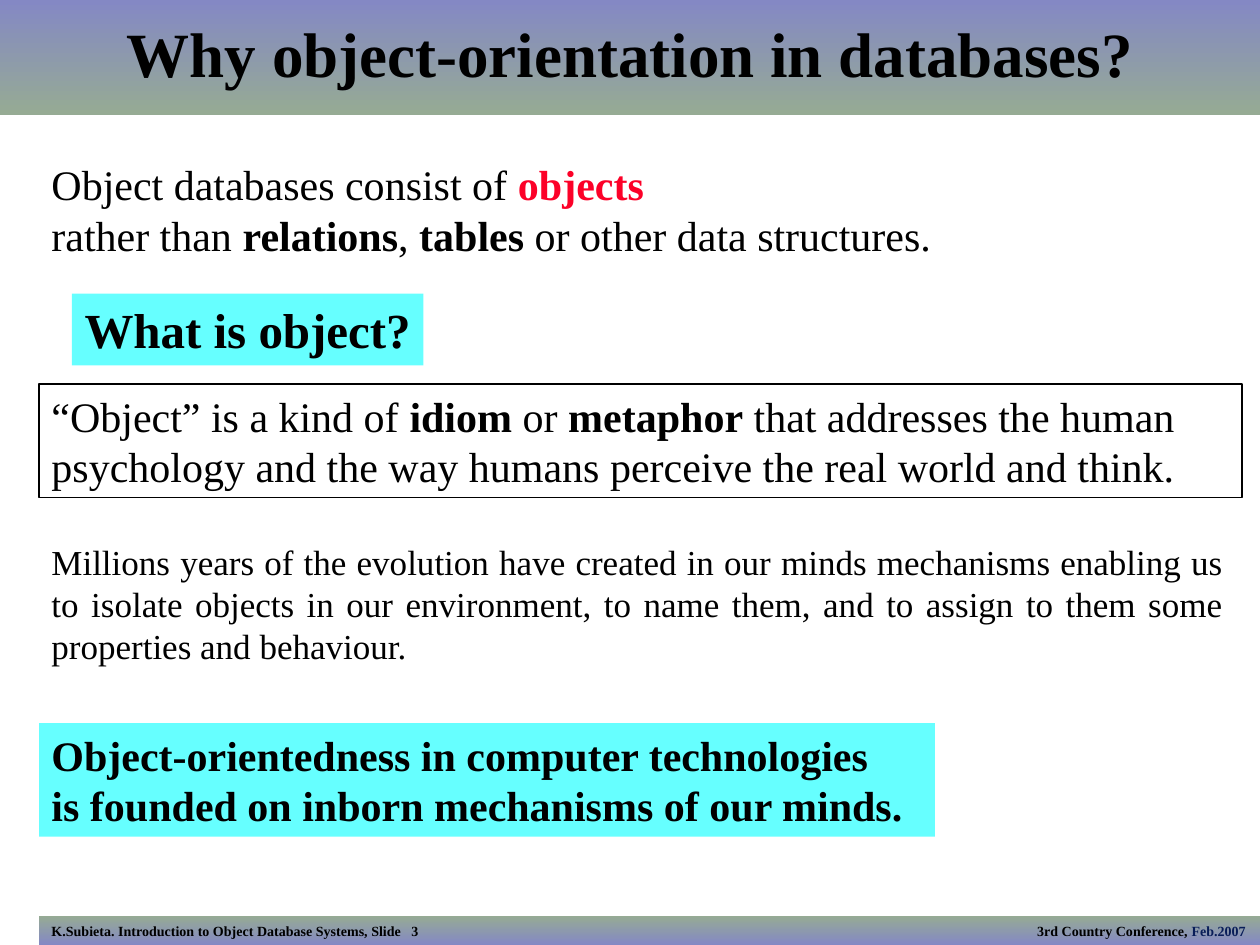
from pptx import Presentation
from pptx.dml.color import RGBColor
from pptx.enum.shapes import MSO_SHAPE
from pptx.enum.text import MSO_ANCHOR, MSO_AUTO_SIZE, PP_ALIGN
from pptx.util import Inches, Pt

BLACK = RGBColor(0x00, 0x00, 0x00)
RED = RGBColor(0xFC, 0x01, 0x28)
NAVY = RGBColor(0x08, 0x1D, 0x58)
CYAN = RGBColor(0x66, 0xFF, 0xFF)
VIOLET = RGBColor(0x84, 0x88, 0xC4)
SAGE = RGBColor(0x96, 0xAB, 0x94)

FONT = "Times New Roman"
LEFT = 0.31  # shared left edge of bars and text blocks


class SlideBuilder:
    """Holds the text style and the current slide."""

    def __init__(self, slide):
        self.slide = slide

    def gradient(self, shape, top, bottom):
        fill = shape.fill
        fill.gradient()
        fill.gradient_angle = 270
        for stop, color in zip(fill.gradient_stops, (top, bottom)):
            stop.color.rgb = color

    def set_text(self, shape, lines, size, align=PP_ALIGN.LEFT, bold=False,
                 wrap=True, anchor=MSO_ANCHOR.TOP):
        """Each line is a list of (text, bold, color) runs or a plain string."""
        tf = shape.text_frame
        tf.auto_size = MSO_AUTO_SIZE.NONE
        tf.word_wrap = wrap
        tf.vertical_anchor = anchor
        for i, line in enumerate(lines):
            p = tf.add_paragraph() if i else tf.paragraphs[0]
            p.alignment = align
            runs = [(line, bold, BLACK)] if isinstance(line, str) else line
            for text, run_bold, color in runs:
                r = p.add_run()
                r.text = text
                r.font.name = FONT
                r.font.size = Pt(size)
                r.font.bold = run_bold
                r.font.color.rgb = color

    def title(self, text, height):
        s = self.slide.shapes.title
        s.left, s.top = Inches(0), Inches(0)
        s.width, s.height = Inches(10), Inches(height)
        self.gradient(s, VIOLET, SAGE)
        self.set_text(s, [text], 36, PP_ALIGN.CENTER, True, anchor=MSO_ANCHOR.MIDDLE)
        s.text_frame.paragraphs[0].line_spacing = 0.9

    def text(self, x, y, w, h, lines, size, **style):
        s = self.slide.shapes.add_textbox(Inches(x), Inches(y), Inches(w), Inches(h))
        self.set_text(s, lines, size, **style)

    def box(self, x, y, w, h, lines, size, fill=None, line=None, **style):
        s = self.slide.shapes.add_shape(
            MSO_SHAPE.RECTANGLE, Inches(x), Inches(y), Inches(w), Inches(h))
        s.shadow.inherit = False
        if fill is None:
            s.fill.background()
        else:
            s.fill.solid()
            s.fill.fore_color.rgb = fill
        if line is None:
            s.line.fill.background()
        else:
            s.line.color.rgb = line
            s.line.width = Pt(1)
        self.set_text(s, lines, size, **style)
        return s


def main():
    prs = Presentation()
    prs.slide_width, prs.slide_height = Inches(10), Inches(7.5)
    b = SlideBuilder(prs.slides.add_slide(prs.slide_layouts[5]))

    # Footer bar
    footer = b.box(LEFT, 7.27, 9.69, 0.23,
                   ["K.Subieta. Introduction to Object Database Systems, Slide   3"],
                   8, bold=True)
    b.gradient(footer, SAGE, VIOLET)
    b.text(8.13, 7.27, 1.86, 0.23,
           [[("3rd Country Conference, ", True, BLACK), ("Feb.2007", True, NAVY)]],
           8, align=PP_ALIGN.CENTER, wrap=False)

    # Title
    b.title("Why object-orientation in databases?", 0.91)

    # Introduction
    b.text(LEFT, 1.21, 9.38, 0.9, [
        [("Object databases consist of ", False, BLACK), ("objects", True, RED)],
        [("rather than ", False, BLACK), ("relations", True, BLACK),
         (", ", False, BLACK), ("tables", True, BLACK),
         (" or other data structures.", False, BLACK)],
    ], 24)

    # Question and definition
    b.box(0.57, 2.33, 2.79, 0.57, ["What is object?"], 28, fill=CYAN,
          align=PP_ALIGN.CENTER, bold=True, wrap=False)
    b.box(LEFT, 3.05, 9.55, 0.9, [
        [("“Object” is a kind of ", False, BLACK), ("idiom", True, BLACK),
         (" or ", False, BLACK), ("metaphor", True, BLACK),
         (" that addresses the human psychology and the way humans "
          "perceive the real world and think.", False, BLACK)],
    ], 24, line=BLACK)

    # Explanation
    b.text(LEFT, 4.24, 9.5, 1.1, [
        "Millions years of the evolution have created in our minds mechanisms "
        "enabling us to isolate objects in our environment, to name them, and "
        "to assign to them some properties and behaviour."
    ], 20, align=PP_ALIGN.JUSTIFY)

    # Conclusion
    b.box(LEFT, 5.74, 7.11, 0.9, [
        "Object-orientedness in computer technologies",
        "is founded on inborn mechanisms of our minds.",
    ], 24, fill=CYAN, bold=True)

    prs.save("out.pptx")


if __name__ == "__main__":
    main()
